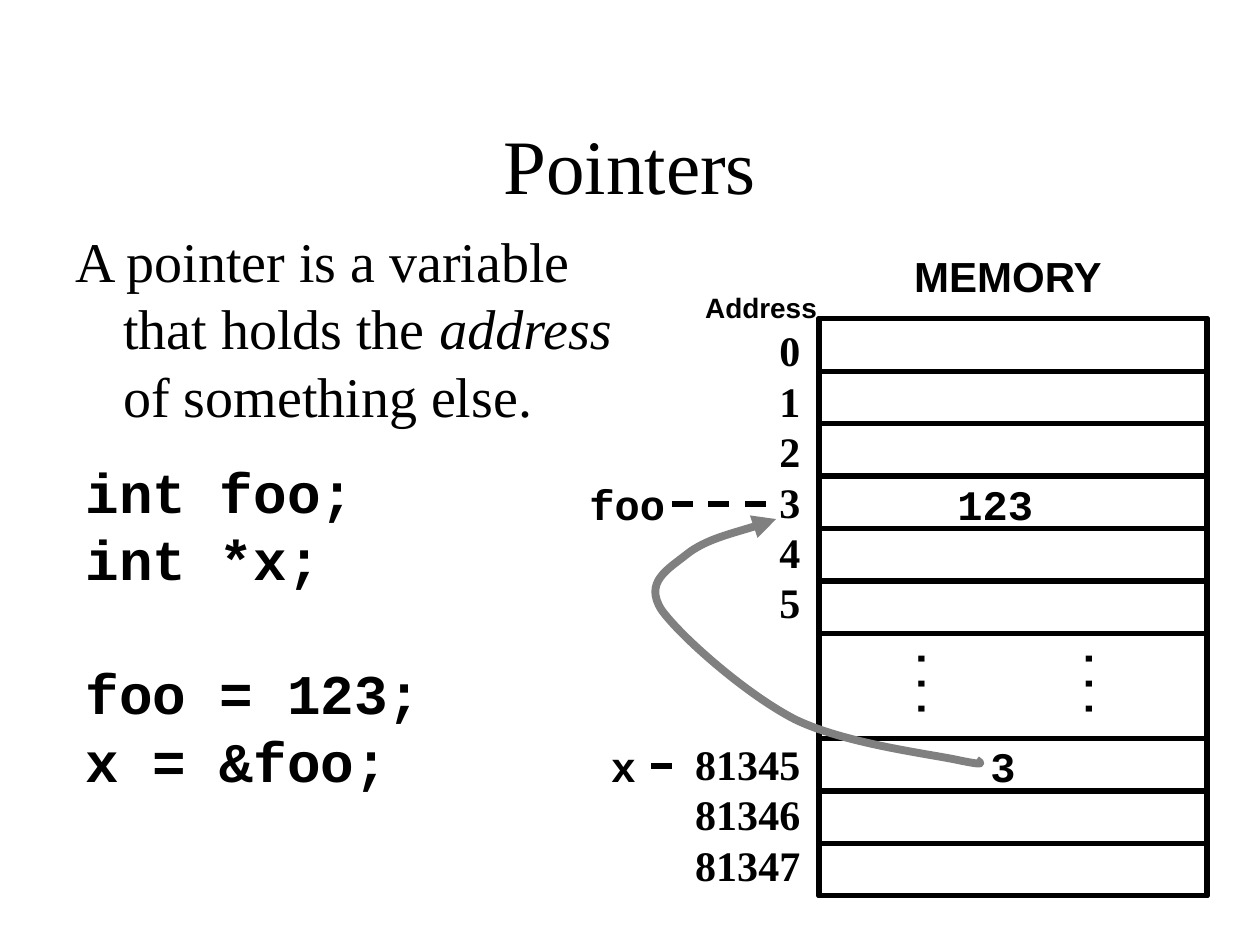
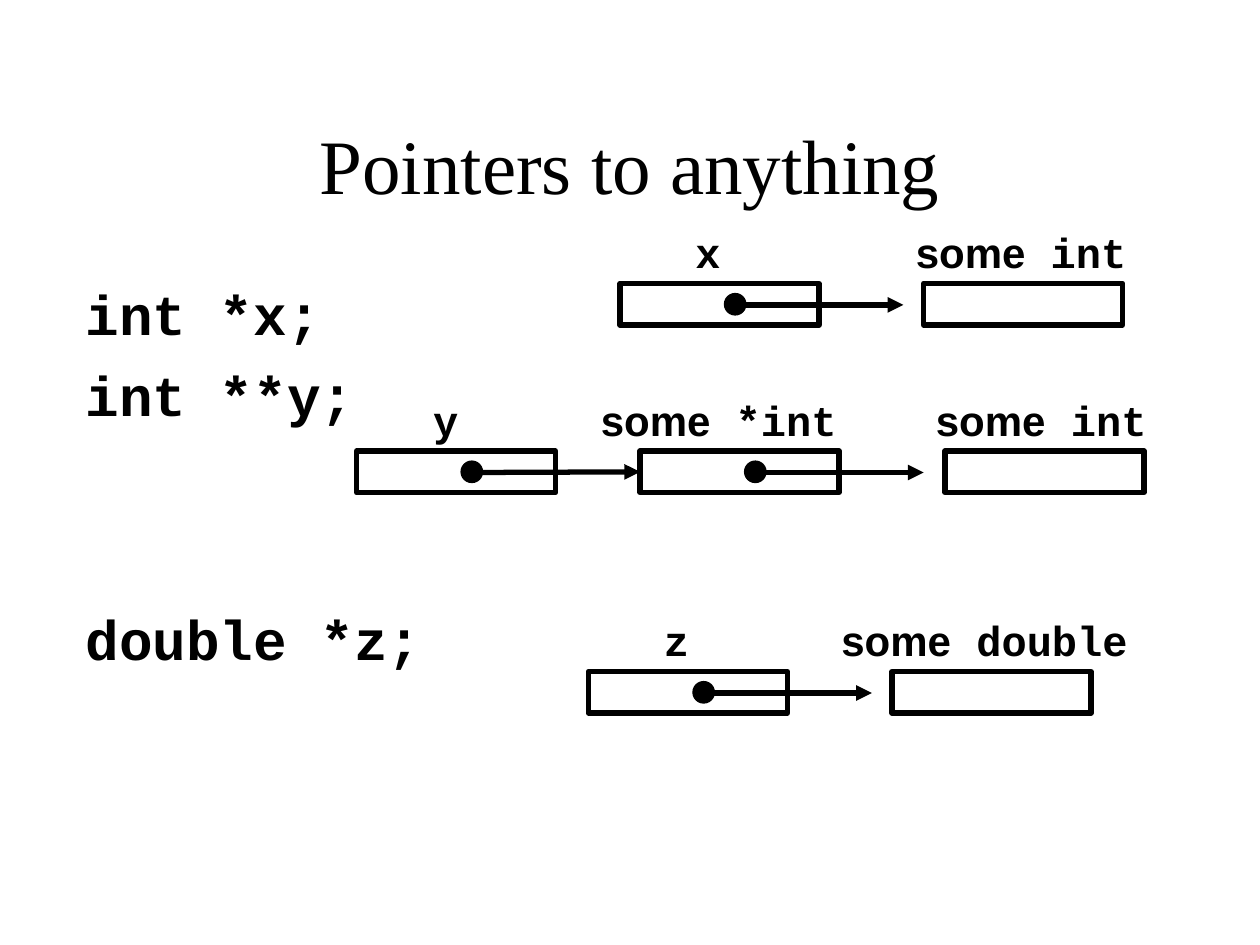
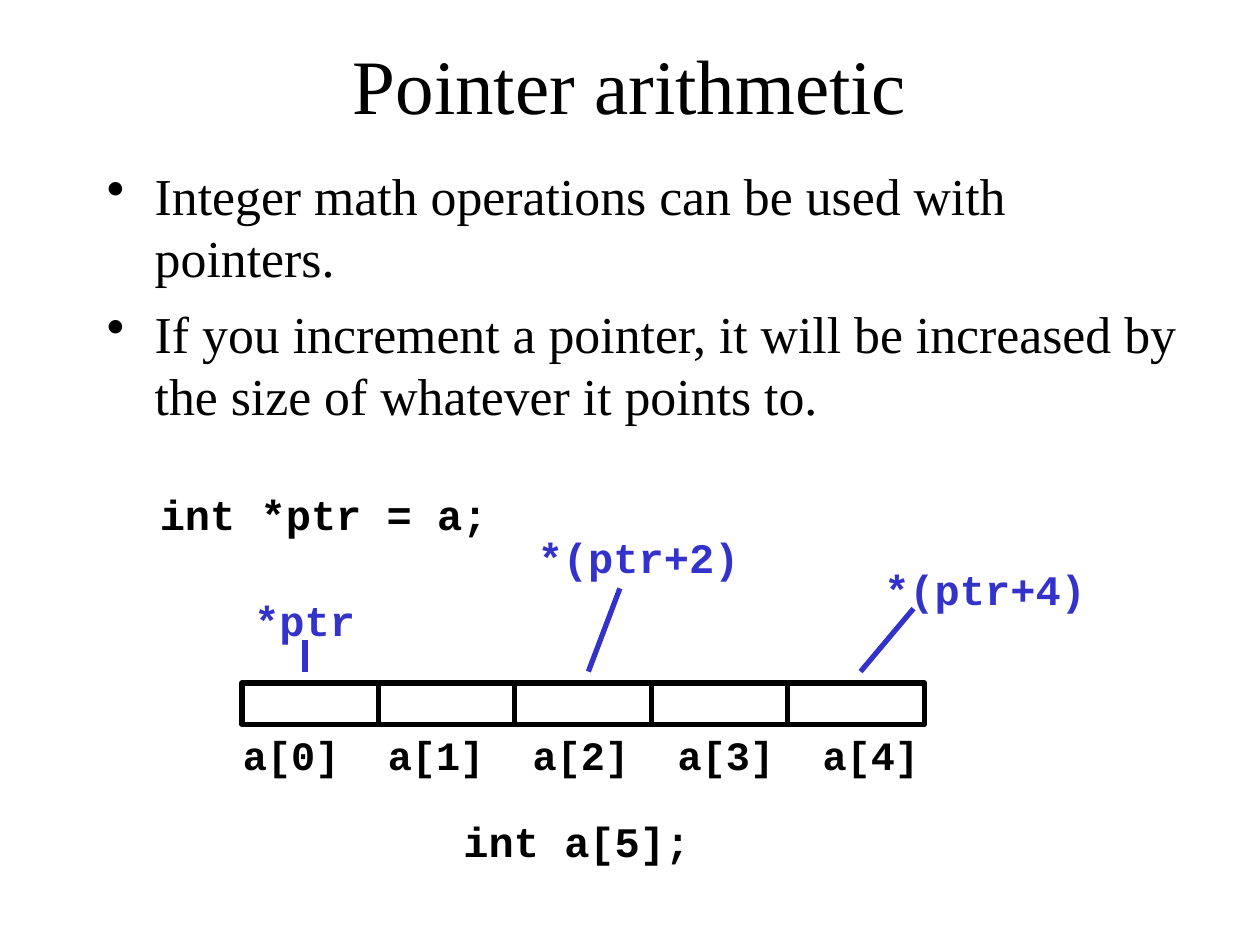
from dataclasses import dataclass

from lxml import etree
from pptx import Presentation
from pptx.dml.color import RGBColor as RGB
from pptx.enum.dml import MSO_LINE as Dash
from pptx.enum.shapes import MSO_CONNECTOR as Link, MSO_SHAPE as Form
from pptx.enum.text import MSO_ANCHOR as Anchor, PP_ALIGN as Align
from pptx.oxml.ns import qn
from pptx.util import Inches, Pt


@dataclass(frozen=True)
class Theme:
    ink: RGB = RGB(0, 0, 0)
    paper: RGB = RGB(255, 255, 255)
    blue: RGB = RGB(0x33, 0x33, 0xCC)
    gray: RGB = RGB(0x80, 0x80, 0x80)
    serif: str = "Times New Roman"
    sans: str = "Arial"
    mono: str = "Courier New"
    head: float = 44
    body: float = 32
    list: float = 29.6
    code: float = 24
    cell: float = 23
    note: float = 16
    line: float = 3


T = Theme()


def write(slide, at, lines, size=T.code, face=T.mono, bold=True, color=T.ink,
          align=Align.LEFT, wrap=True, mid=False, hang=False, dots=False,
          gap=0, gaps=None, tabs=()):
    """Add a text box; a line is a string or a list of (words, font changes).

    gaps maps a line number to its own space before, in points.
    """
    box = slide.shapes.add_textbox(*map(Inches, at))
    frame = box.text_frame
    frame.word_wrap = wrap
    if mid:
        frame.vertical_anchor = Anchor.MIDDLE
    for i, line in enumerate(lines):
        para = frame.paragraphs[0] if i == 0 else frame.add_paragraph()
        para.alignment = align
        if i:
            para.space_before = Pt((gaps or {}).get(i, gap))
        props = para._p.get_or_add_pPr()
        if hang:
            props.set("marL", str(Inches(0.38)))
            props.set("indent", str(-Inches(0.38)))
        if dots:
            etree.SubElement(props, qn("a:buChar")).set("char", "•")
        if tabs:
            stops = etree.SubElement(props, qn("a:tabLst"))
            for stop in tabs:
                etree.SubElement(stops, qn("a:tab"), pos=str(Inches(stop)), algn="l")
        font = para.font
        font.size, font.name, font.bold = Pt(size), face, bold
        font.color.rgb = color
        for words, look in [(line, {})] if isinstance(line, str) else line:
            run = para.add_run()
            run.text = words
            for key, value in look.items():
                setattr(run.font, key, value)
    return box


def stroke(shape, color=T.ink, width=T.line, arrow=False, dash=None):
    shape.line.color.rgb = color
    shape.line.width = Pt(width)
    if dash:
        shape.line.dash_style = dash
    props = shape._element.spPr
    if arrow:
        etree.SubElement(props.find(qn("a:ln")), qn("a:tailEnd"), type="triangle")
    etree.SubElement(props, qn("a:effectLst"))


deck = Presentation()
deck.slide_width, deck.slide_height = Inches(10), Inches(7.5)
pages = []
for title, top, high in [("Pointers", 0.67, 1.25),
                         ("Pointers to anything", 0.67, 1.25),
                         ("Pointer arithmetic", 0.33, 0.67)]:
    page = deck.slides.add_slide(deck.slide_layouts[6])
    write(page, (0.75, top, 8.5, high), [title], T.head, T.serif, False,
          align=Align.CENTER, mid=True)
    pages.append(page)
basics, chains, maths = pages

# Pointers: text and code
write(basics, (0.5, 1.75, 4.67, 1.8),
      [[("A pointer is a variable that holds the ", {}),
        ("address", {"italic": True}), (" of something else.", {})]],
      T.body, T.serif, False, hang=True)
write(basics, (0.58, 3.58, 3.67, 2.77),
      ["int foo;", "int *x;", "foo = 123;", "x = &foo;"], T.body, gaps={2: 38.4})

# Pointers: memory
left, top, wide, row = 6.5, 2.53, 3.08, 4.58 / 11
for start, rows in [(0, 11)] + [(i, 1) for i in (0, 1, 2, 3, 4, 5, 8, 9, 10)]:
    cell = basics.shapes.add_shape(
        Form.RECTANGLE, Inches(left), Inches(top + start * row),
        Inches(wide), Inches(rows * row))
    cell.fill.solid()
    cell.fill.fore_color.rgb = T.paper
    stroke(cell)
for x in (7.02, 8.35):
    write(basics, (x, 5.18, 0.8, 0.5), ["..."], wrap=False).rotation = 90
write(basics, (6.5, 1.94, 3, 0.5), ["MEMORY"], face=T.sans,
      align=Align.CENTER, wrap=False, mid=True)
write(basics, (5.08, 2.19, 1.92, 0.5), ["Address"], T.note, T.sans,
      align=Align.CENTER, wrap=False, mid=True)
write(basics, (5.42, top, 1.03, 4.98),
      ["0", "1", "2", "3", "4", "5", "81345", "81346", "81347"],
      face=T.serif, align=Align.RIGHT, wrap=False, gaps={6: 63.4})
for x, y, word, align in [(4.58, 3.75, "foo", Align.LEFT),
                          (4.75, 5.83, "x", Align.LEFT),
                          (7.5, 3.75, "123", Align.LEFT),
                          (7.42, 5.83, "3", Align.CENTER)]:
    write(basics, (x, y, 1.08, 0.5), [word], align=align)
for x, end, y in [(5.33, 6.17, 4), (5.17, 5.42, 6.08)]:
    stroke(basics.shapes.add_connector(
        Link.STRAIGHT, *map(Inches, (x, y, end, y))), dash=Dash.DASH)

# The curve's points after the first come in threes: two handles and an end
curve = [(7.75, 6.03),
         (7.79, 6.06), (7.83, 6.08), (7.59, 6.03),
         (7.35, 5.98), (6.7, 5.9), (6.31, 5.71),
         (5.92, 5.51), (5.4, 5.05), (5.25, 4.84),
         (5.11, 4.62), (5.3, 4.52), (5.45, 4.4),
         (5.6, 4.28), (6.01, 4.18), (6.16, 4.12)]
first, *rest = [(Inches(x), Inches(y)) for x, y in curve]
pen = basics.shapes.build_freeform(*first)
pen.add_line_segments(rest, close=False)
swoop = pen.convert_to_shape()
swoop.fill.background()
stroke(swoop, T.gray, 4.5, arrow=True)
track = next(swoop._element.iter(qn("a:path")))
steps = track.findall(qn("a:lnTo"))
for i in range(0, len(steps), 3):
    bend = etree.SubElement(track, qn("a:cubicBezTo"))
    for step in steps[i:i + 3]:
        bend.append(step[0])
        track.remove(step)

# Pointers to anything: each row lists box left, label left, label
write(chains, (0.58, 2.17, 2.92, 4.5), ["int *x;", "int **y;", "double *z;"],
      T.body, hang=True, gap=8, gaps={2: 100.8})
for top, boxes in [
        (2.25, [(4.92, 5.42, "x"), (7.33, 7.17, "some int")]),
        (3.58, [(2.83, 3.34, "y"), (5.08, 4.67, "some *int"),
                (7.5, 7.33, "some int")]),
        (5.33, [(4.67, 5.17, "z"), (7.08, 6.58, "some double")])]:
    rects = []
    for left, start, label in boxes:
        some, kind = label[:4], label[4:]
        line, wide = [(label, {})], 0.4
        if kind:
            line = [(some, {"name": T.sans}), (kind, {})]
            wide = 1.07 + 0.2 * len(kind)
        write(chains, (start, top - 0.5, wide, 0.5), [line], wrap=False)
        rect = chains.shapes.add_shape(
            Form.RECTANGLE, *map(Inches, (left, top, 1.58, 0.33)))
        rect.fill.background()
        stroke(rect)
        rects.append(rect)
    for i, (left, *_) in enumerate(boxes[:-1]):
        mid, end = top + 0.17, left + 2.25
        arrow = chains.shapes.add_connector(
            Link.STRAIGHT, *map(Inches, (left + 0.92, mid, end, mid)))
        if abs(boxes[i + 1][0] - end) < 0.01:
            arrow.end_connect(rects[i + 1], 1)
        stroke(arrow, arrow=True)
        dot = chains.shapes.add_shape(
            Form.OVAL, *map(Inches, (left + 0.83, top + 0.08, 0.17, 0.17)))
        dot.fill.solid()
        dot.fill.fore_color.rgb = T.ink
        stroke(dot, width=0.75)

# Pointer arithmetic
write(maths, (0.75, 1.25, 8.83, 2.33),
      ["Integer math operations can be used with pointers.",
       "If you increment a pointer, it will be increased by "
       "the size of whatever it points to."],
      T.list, T.serif, False, hang=True, dots=True, gap=8)
wide = 6.5 / 6
for i in range(5):
    cell = maths.shapes.add_shape(
        Form.RECTANGLE, *map(Inches, (1.92 + i * wide, 5.42, wide, 0.33)))
    cell.fill.background()
    stroke(cell)
write(maths, (1.83, 5.75, 6.5, 0.49), ["\t".join(f"a[{i}]" for i in range(5))],
      T.cell, tabs=[1.15 * i for i in range(1, 5)])
for x, y, wide, code, color in [(3.58, 6.42, 2, "int a[5];", T.ink),
                                (1.17, 3.83, 2.8, "int *ptr = a;", T.ink),
                                (1.92, 4.67, 1, "*ptr", T.blue),
                                (4.17, 4.17, 1.8, "*(ptr+2)", T.blue),
                                (6.92, 4.42, 1.8, "*(ptr+4)", T.blue)]:
    write(maths, (x, y, wide, 0.5), [code], color=color, wrap=False)
for x, y, end in [(2.42, 5.08, 2.42), (4.92, 4.67, 4.67), (7.25, 4.83, 6.83)]:
    stroke(maths.shapes.add_connector(
        Link.STRAIGHT, *map(Inches, (x, y, end, 5.33))), T.blue)

deck.save("out.pptx")
